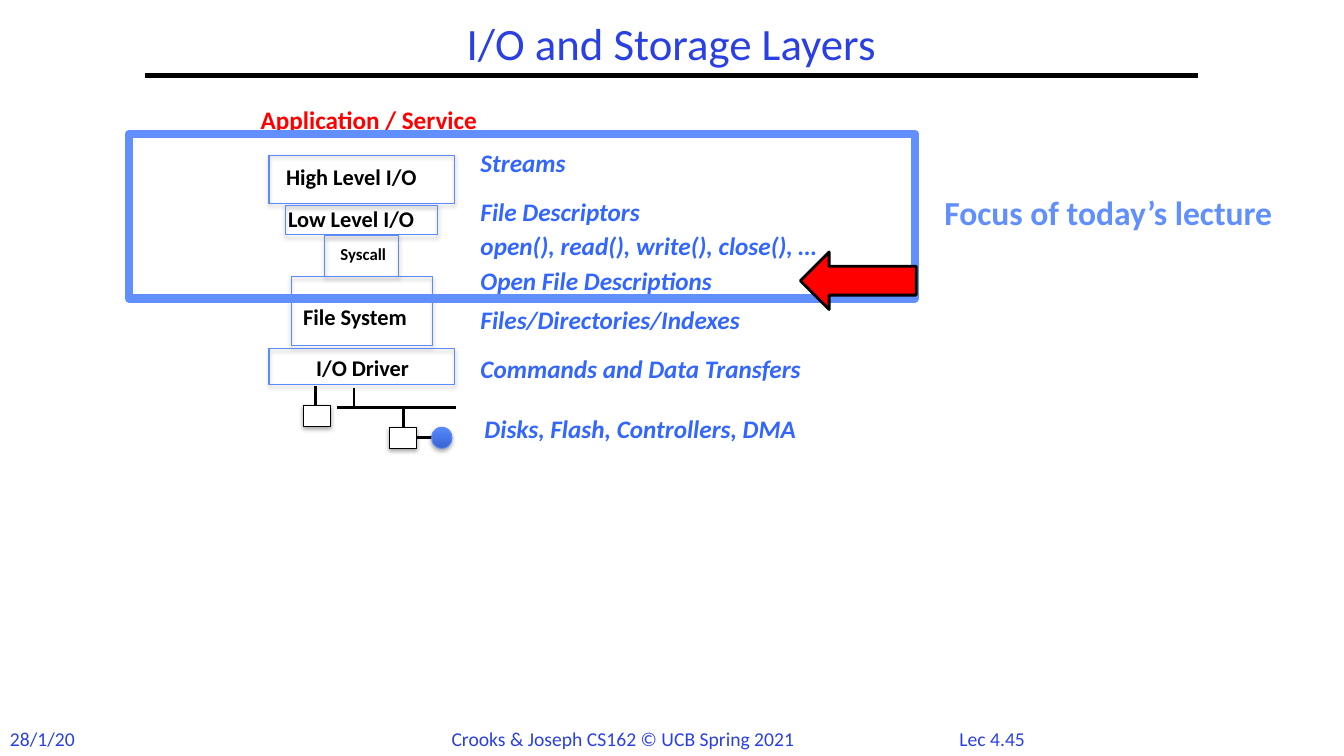
from collections import namedtuple

from lxml import etree
from pptx import Presentation
from pptx.dml.color import RGBColor
from pptx.enum.shapes import MSO_CONNECTOR, MSO_SHAPE
from pptx.enum.text import MSO_ANCHOR, MSO_AUTO_SIZE, PP_ALIGN
from pptx.oxml import parse_xml
from pptx.oxml.ns import nsdecls, qn
from pptx.util import Cm, Pt

Box = namedtuple("Box", "left top width height")
COLORS = {
    "title": "2A40E2", "black": "000000", "white": "FFFFFF", "red": "FF0000",
    "outline": "5B8AFB", "concept": "3366FF", "focus": "618FFD",
    "disk_dark": "3764CE", "disk_light": "5688FF",
}
LAYERS = [
    ("High Level I/O", 4.67, 0, 1.22, 0.18, 0.08, 16),
    ("Low Level I/O", 3.84, 1.27, 0.74, 0.23, 1.14, 16),
    ("Syscall", 1.85, 2.03, 1.02, 1.55, 2.11, 12),
    ("File System", 3.56, 3.07, 1.73, 0.61, 3.61, 16),
    ("I/O Driver", 4.67, 4.88, 0.89, 0.94, 4.88, 16),
]
CONCEPTS = [
    ("Streams", 0, 0),
    ("File Descriptors", 0, 1.24),
    ("open(), read(), write(), close(), …", 0, 2.11),
    ("Open File Descriptions", 0, 2.97),
    ("Files/Directories/Indexes", 0, 3.96),
    ("Commands and Data Transfers", 0, 5.21),
    ("Disks, Flash, Controllers, DMA", 0.1, 6.71),
]


def rgb(name):
    """Look up a palette colour."""
    return RGBColor.from_string(COLORS[name])


def add_text(slide, box, text, size, color, bold=False, italic=False):
    """Add a one-line label and return its text frame."""
    frame = slide.shapes.add_textbox(*map(Cm, box)).text_frame
    frame.word_wrap = False
    frame.auto_size = MSO_AUTO_SIZE.SHAPE_TO_FIT_TEXT
    line = frame.paragraphs[0]
    line.text = text
    font = line.font
    font.name, font.size, font.bold, font.italic = "Calibri", Pt(size), bold, italic
    font.color.rgb = rgb(color)
    return frame


def add_outline(slide, kind, box, line, width, fill=None, shadow=False):
    """Add a preset shape with an outline, and a fill or soft shadow if asked."""
    shape = slide.shapes.add_shape(kind, *map(Cm, box))
    shape.shadow.inherit = False
    shape.line.color.rgb = rgb(line)
    shape.line.width = Pt(width)
    if fill:
        shape.fill.solid()
        shape.fill.fore_color.rgb = rgb(fill)
    else:
        shape.fill.background()
    if shadow:
        effects = shape._element.spPr.find(qn("a:effectLst"))
        effects.append(parse_xml(
            f'<a:outerShdw {nsdecls("a")} blurRad="40000" dist="23000" dir="5400000" '
            f'rotWithShape="0"><a:srgbClr val="{COLORS["black"]}">'
            '<a:alpha val="35000"/></a:srgbClr></a:outerShdw>'))
    return shape


def add_line(slide, x1, y1, x2, y2, width):
    """Add a straight black line."""
    line = slide.shapes.add_connector(MSO_CONNECTOR.STRAIGHT, *map(Cm, (x1, y1, x2, y2)))
    line.line.color.rgb = rgb("black")
    line.line.width = Pt(width)
    etree.SubElement(line._element.spPr, qn("a:effectLst"))


def add_header(slide, box):
    """Place the title above its rule."""
    frame = add_text(slide, box, "I/O and Storage Layers", 32, "title")
    frame.word_wrap = True
    frame.auto_size = MSO_AUTO_SIZE.NONE
    frame.vertical_anchor = MSO_ANCHOR.MIDDLE
    frame.paragraphs[0].alignment = PP_ALIGN.CENTER
    frame.paragraphs[0].line_spacing = 0.9
    rule = box.top + box.height
    add_line(slide, box.left, rule, box.left + box.width, rule, 3)


def add_footer(slide, box):
    """Place date, course credit and lecture number."""
    for text, x, width in [("28/1/20", 0, 2.16),
                           ("Crooks & Joseph CS162 © UCB Spring 2021", 11.13, 9.22),
                           ("Lec 4.45", 23.93, 2.46)]:
        add_text(slide, Box(box.left + x, box.top, width, box.height), text, 14, "title")


def add_stack(slide, box):
    """Place the layers, centred on one axis, under the application label."""
    add_text(slide, Box(box.left - 0.46, box.top - 1.4, 6.81, 1.02),
             "Application / Service", 18, "red", bold=True)
    for name, width, top, height, text_x, text_y, size in LAYERS:
        label = Box(box.left + text_x, box.top + text_y, box.width, 0.94)
        add_text(slide, label, name, size, "black", bold=True)
        layer = Box(box.left + (box.width - width) / 2, box.top + top, width, height)
        add_outline(slide, MSO_SHAPE.RECTANGLE, layer, "outline", 0.75, shadow=True)


def add_devices(slide, box):
    """Place the bus with its controllers and disk."""
    for x1, y1, x2, y2 in [(0.3, 0, 0.3, 0.48), (1.27, 0.05, 1.27, 0.53),
                           (0.84, 0.53, 3.84, 0.53), (2.51, 0.53, 2.51, 1.04),
                           (2.84, 1.3, 3.23, 1.3)]:
        add_line(slide, box.left + x1, box.top + y1, box.left + x2, box.top + y2, 2)
    for x, y in [(0, 0.48), (2.16, 1.04)]:
        controller = Box(box.left + x, box.top + y, 0.69, 0.53)
        add_outline(slide, MSO_SHAPE.RECTANGLE, controller, "black", 0.75, "white", True)
    disk = add_outline(slide, MSO_SHAPE.OVAL, Box(box.left + 3.23, box.top + 1.04, 0.51, 0.53),
                       "outline", 0.75, shadow=True)
    disk.fill.gradient()
    disk.fill.gradient_angle = 90
    for stop, shade in zip(disk.fill.gradient_stops, ("disk_dark", "disk_light")):
        stop.color.rgb = rgb(shade)


def add_concepts(slide, box):
    """Place the concept that belongs to each layer."""
    for text, x, y in CONCEPTS:
        add_text(slide, Box(box.left + x, box.top + y, box.width, 1.02),
                 text, 18, "concept", bold=True, italic=True)


def add_focus(slide, box):
    """Frame the layers in focus, with a caption and an arrow."""
    right = box.left + box.width
    add_outline(slide, MSO_SHAPE.RECTANGLE, box, "focus", 6)
    add_text(slide, Box(right + 0.49, box.top + 1.34, 10.31, 1.27),
             "Focus of today’s lecture", 24, "focus", bold=True)
    add_outline(slide, MSO_SHAPE.LEFT_ARROW, Box(right - 2.89, box.top + 2.97, 2.92, 1.45),
                "black", 2, "red")


def main():
    """Build the slide and save it."""
    deck = Presentation()
    deck.slide_width, deck.slide_height = Cm(33.87), Cm(19.05)
    slide = deck.slides.add_slide(deck.slide_layouts[6])
    add_footer(slide, Box(0, 18.19, 33.87, 0.86))
    add_header(slide, Box(3.66, 0.43, 26.52, 1.47))
    add_stack(slide, Box(6.78, 3.91, 4.67, 5.77))
    add_devices(slide, Box(7.65, 9.73, 3.84, 1.57))
    add_concepts(slide, Box(11.86, 3.58, 10.31, 7.73))
    add_focus(slide, Box(3.25, 3.38, 19.81, 4.14))
    deck.save("out.pptx")


if __name__ == "__main__":
    main()
